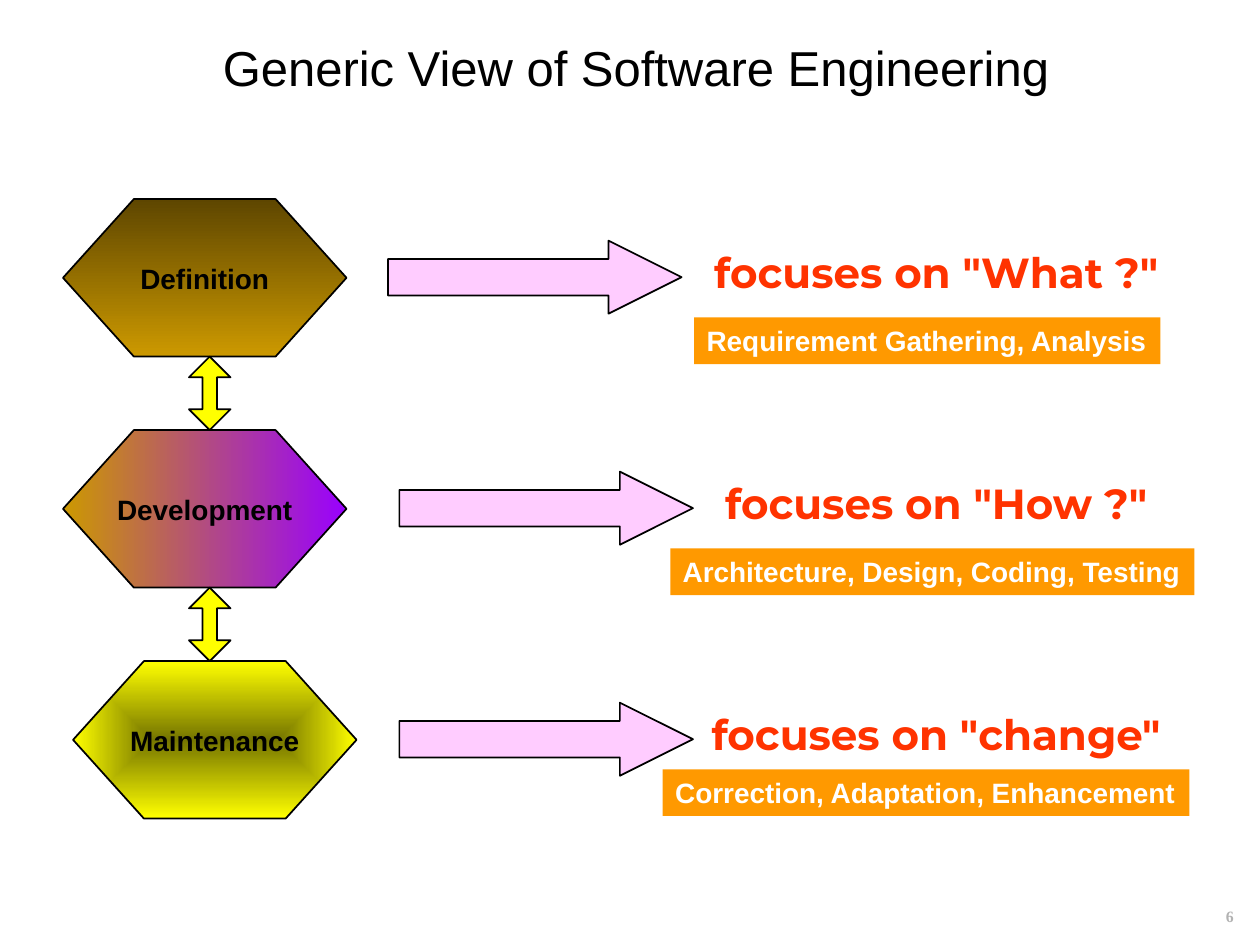
from lxml import etree
from pptx import Presentation
from pptx.dml.color import RGBColor
from pptx.enum.shapes import MSO_SHAPE
from pptx.enum.text import MSO_ANCHOR, PP_ALIGN
from pptx.oxml.ns import qn
from pptx.util import Inches, Pt

HEXAGON = MSO_SHAPE.HEXAGON
RECTANGLE = MSO_SHAPE.RECTANGLE
RIGHT_ARROW = MSO_SHAPE.RIGHT_ARROW
UP_DOWN_ARROW = MSO_SHAPE.UP_DOWN_ARROW
LEFT, CENTER, RIGHT = PP_ALIGN.LEFT, PP_ALIGN.CENTER, PP_ALIGN.RIGHT
TOP, MIDDLE = MSO_ANCHOR.TOP, MSO_ANCHOR.MIDDLE

FIRST_TOP = 1.58
PITCH = 11 / 6
HEX_W, HEX_H = 2.25, 1.25
PHASES = [
    ("Definition", 0.5, ("5E4600", "CC9900"), 270, 3.08,
     'focuses on "What ?"', "Requirement Gathering, Analysis", (5.51, 0.94, 3.7)),
    ("Development", 0.5, ("9900FF", "CC9900"), 180, 3.17,
     'focuses on "How ?"', "Architecture, Design, Coding, Testing", (5.32, 0.94, 4.16)),
    ("Maintenance", 0.58, ("757500", "FFFF00"), None, 3.17,
     'focuses on "change"', "Correction, Adaptation, Enhancement", (5.26, 0.86, 4.18)),
]


def rgb(value):
    return RGBColor.from_string(value)


def write(s, text, size, font, color, bold=True, align=LEFT, anchor=TOP, wrap=False):
    tf = s.text_frame
    tf.word_wrap = wrap
    tf.vertical_anchor = anchor
    p = tf.paragraphs[0]
    p.text = text
    p.alignment = align
    p.font.size = Pt(size)
    p.font.name = font
    p.font.bold = bold
    p.font.color.rgb = rgb(color)


def add_text(slide, box, *args, **kwargs):
    s = slide.shapes.add_textbox(*map(Inches, box))
    write(s, *args, **kwargs)


def add_figure(slide, kind, box, fill=None, line=None, adjustments=()):
    s = slide.shapes.add_shape(kind, *map(Inches, box))
    s.shadow.inherit = False
    for i, value in enumerate(adjustments):
        s.adjustments[i] = value
    if fill:
        s.fill.solid()
        s.fill.fore_color.rgb = rgb(fill)
    if line:
        s.line.color.rgb = rgb(line)
        s.line.width = Pt(1)
    else:
        s.line.fill.background()
    return s


def fill_gradient(s, colors, angle):
    s.fill.gradient()
    for stop, color in zip(s.fill.gradient_stops, colors):
        stop.color.rgb = rgb(color)
    if angle is not None:
        s.fill.gradient_angle = angle
        return
    grad = s._element.spPr.find(qn("a:gradFill"))
    grad.remove(grad.find(qn("a:lin")))
    shade = etree.SubElement(grad, qn("a:path"), path="rect")
    etree.SubElement(shade, qn("a:fillToRect"), l="50000", t="50000", r="50000", b="50000")


def add_phase(slide, top, name, left, colors, angle, arrow_left, focus, tasks, band):
    s = add_figure(slide, HEXAGON, (left, top, HEX_W, HEX_H), line="000000", adjustments=[0.45])
    fill_gradient(s, colors, angle)
    write(s, name, 16, "Arial", "000000", align=CENTER, anchor=MIDDLE)

    add_figure(slide, RIGHT_ARROW, (arrow_left, top + 0.33, 2.33, 0.58),
               "FFCCFF", "000000", [0.5, 1])
    add_text(slide, (5.5, top + 0.33, 3.86, 0.47), focus, 24, "Montserrat", "FF3300",
             align=CENTER)

    band_left, band_offset, band_width = band
    s = add_figure(slide, RECTANGLE, (band_left, top + band_offset, band_width, 0.37), "FF9900")
    write(s, tasks, 16, "Arial", "FFFFFF")


def main():
    prs = Presentation()
    prs.slide_width, prs.slide_height = Inches(10), Inches(7.5)
    slide = prs.slides.add_slide(prs.slide_layouts[6])

    for i, phase in enumerate(PHASES):
        top = FIRST_TOP + i * PITCH
        add_phase(slide, top, *phase)
        if i < len(PHASES) - 1:
            add_figure(slide, UP_DOWN_ARROW, (1.5, top + HEX_H, 0.33, PITCH - HEX_H),
                       "FFFF00", "000000", [0.5, 0.35])

    add_text(slide, (1.67, 0.25, 7.92, 0.57), "Generic View of Software Engineering",
             28, "Arial", "000000", bold=False, wrap=True)
    add_text(slide, (7.56, 7.15, 2.33, 0.22), "6", 9, "Times New Roman", "B2B2B2",
             align=RIGHT, wrap=True)
    prs.save("out.pptx")


if __name__ == "__main__":
    main()
